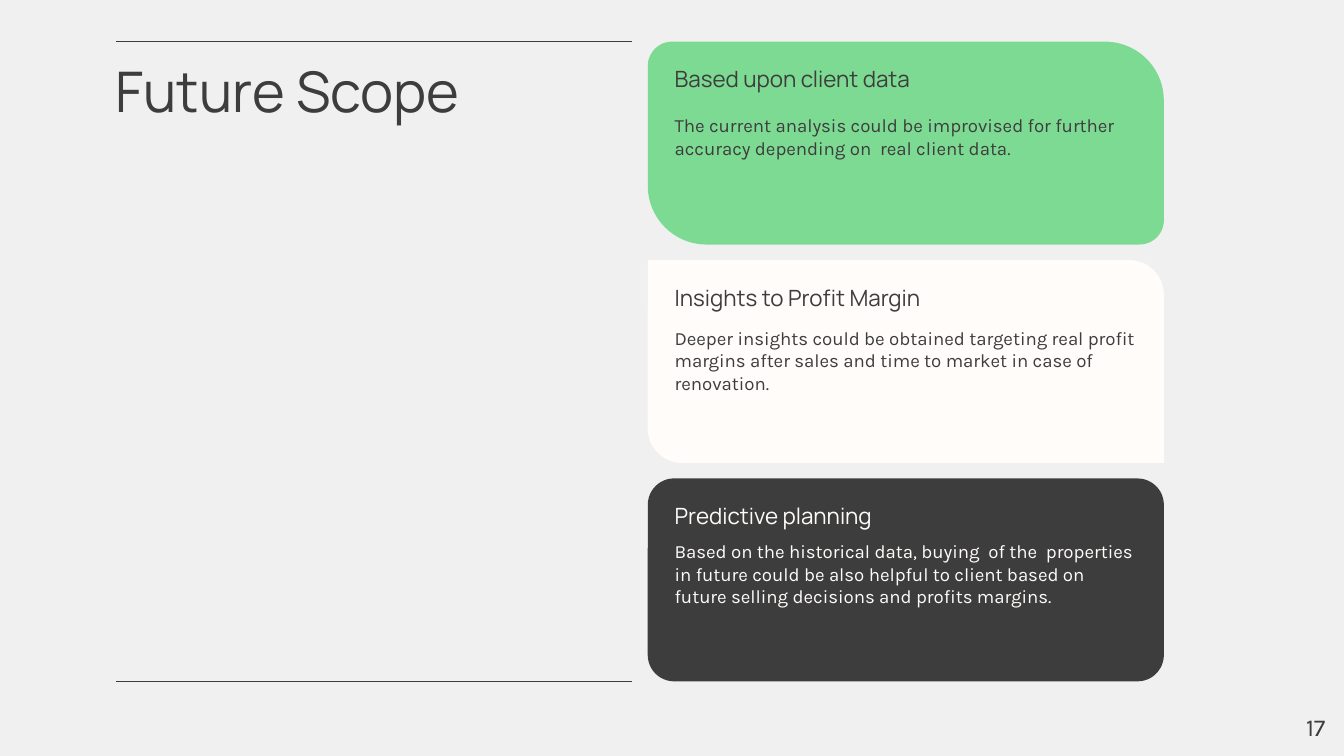
"""Build the Future Scope slide with three rounded cards."""
from lxml import etree
from pptx import Presentation
from pptx.dml.color import RGBColor
from pptx.enum.shapes import MSO_CONNECTOR, MSO_SHAPE
from pptx.enum.text import MSO_ANCHOR, PP_ALIGN
from pptx.oxml.ns import qn
from pptx.util import Inches, Pt

STRAIGHT = MSO_CONNECTOR.STRAIGHT
DIAGONAL, ROUNDED = MSO_SHAPE.ROUND_2_DIAG_RECTANGLE, MSO_SHAPE.ROUNDED_RECTANGLE
TOP, MIDDLE = MSO_ANCHOR.TOP, MSO_ANCHOR.MIDDLE
LEFT, RIGHT = PP_ALIGN.LEFT, PP_ALIGN.RIGHT
GREY = RGBColor(0xF0, 0xF0, 0xF0)
GREEN = RGBColor(0x7D, 0xDA, 0x92)
CREAM = RGBColor(0xFF, 0xFC, 0xFA)
DARK = RGBColor(0x3D, 0x3D, 0x3D)
HEADING_FONT, BODY_FONT = "Manrope", "Karla"
MARGIN, CARD_LEFT, WIDTH = 0.86, 4.82, 3.84
CARD_TOP, CARD_BOTTOM, CARD_HEIGHT = 0.31, 5.07, 1.51
CARD_STEP = (CARD_BOTTOM - CARD_TOP - CARD_HEIGHT) / 2


def write(box, text, font, size, color, insets=(0, 0, 0, 0), spacing=1.0, align=LEFT, anchor=TOP):
    """Fill a text shape with one formatted paragraph."""
    frame = box.text_frame
    frame.word_wrap = True
    frame.vertical_anchor = anchor
    frame.margin_left, frame.margin_top, frame.margin_right, frame.margin_bottom = map(Inches, insets)
    frame.text = text
    para = frame.paragraphs[0]
    para.alignment = align
    para.line_spacing = spacing
    para.font.name, para.font.size = font, Pt(size)
    para.font.color.rgb = color


def place(left, top, width, height):
    """Convert a position and size to lengths."""
    return [Inches(value) for value in (left, top, width, height)]


deck = Presentation()
deck.slide_width = Inches(10)
deck.slide_height = Inches(10 * 9 / 16)
page = deck.slides.add_slide(deck.slide_layouts[5])
page.background.fill.solid()
page.background.fill.fore_color.rgb = GREY

title = page.shapes.title
title.left, title.top, title.width, title.height = place(MARGIN, 0.48, WIDTH, 0.45)
write(title, "Future Scope", HEADING_FONT, 30, DARK, spacing=0.9)

for y in (CARD_TOP, CARD_BOTTOM):
    rule = page.shapes.add_connector(
        STRAIGHT, Inches(MARGIN), Inches(y), Inches(MARGIN + WIDTH), Inches(y))
    rule.line.color.rgb = DARK
    rule.line.width = Pt(0.75)
    etree.SubElement(rule.element.spPr, qn("a:effectLst"))

cards = [
    (DIAGONAL, (0.12, 0.29), GREEN, DARK, 0.85, "Based upon client data",
     "The current analysis could be improvised for further accuracy depending on  real client data."),
    (DIAGONAL, (0, 0.17), CREAM, DARK, 2.43, "Insights to Profit Margin",
     "Deeper insights could be obtained targeting real profit margins after sales "
     "and time to market in case of renovation."),
    (ROUNDED, (0.13,), DARK, CREAM, 4.02, "Predictive planning",
     "Based on the historical data, buying  of the  properties in future could be also "
     "helpful to client based on future selling decisions and profits margins."),
]
for index, (outline, corners, fill, ink, body_top, heading, body) in enumerate(cards):
    top = CARD_TOP + index * CARD_STEP
    card = page.shapes.add_shape(outline, *place(CARD_LEFT, top, WIDTH, CARD_HEIGHT))
    card.shadow.inherit = False
    card.fill.solid()
    card.fill.fore_color.rgb = fill
    card.line.fill.background()
    for corner, radius in enumerate(corners):
        card.adjustments[corner] = radius
    heading_box = page.shapes.add_textbox(*place(CARD_LEFT, top + 0.01, 3.45, 0.38))
    write(heading_box, heading, HEADING_FONT, 12, ink, insets=(0.2, 0.2, 0, 0), spacing=0.9)
    body_box = page.shapes.add_textbox(*place(CARD_LEFT, body_top, WIDTH, 0.86))
    write(body_box, body, BODY_FONT, 10, ink, insets=(0.2, 0, 0.2, 0))

number = page.shapes.add_textbox(*place(9.36, 5.19, 0.6, 0.43))
write(number, "17", BODY_FONT, 13, DARK, insets=(0.1,) * 4, align=RIGHT, anchor=MIDDLE)

deck.save("out.pptx")
